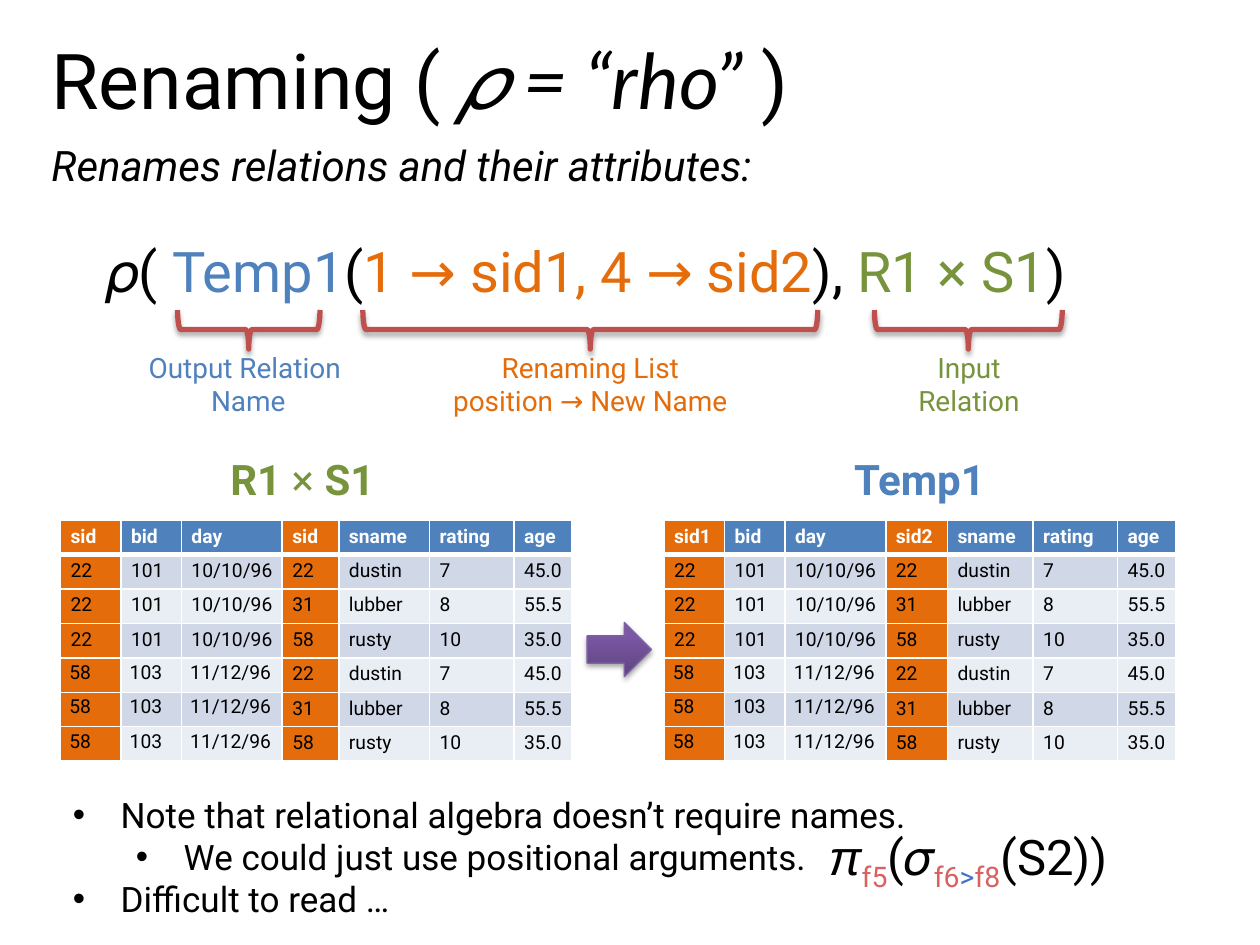
from dataclasses import dataclass

from lxml import etree
from pptx import Presentation
from pptx.dml.color import RGBColor
from pptx.enum.shapes import MSO_SHAPE
from pptx.enum.text import MSO_ANCHOR, MSO_AUTO_SIZE, PP_ALIGN
from pptx.oxml import parse_xml
from pptx.oxml.ns import nsdecls, qn
from pptx.util import Inches, Pt

LEFT, CENTER = PP_ALIGN.LEFT, PP_ALIGN.CENTER
TOP, MIDDLE = MSO_ANCHOR.TOP, MSO_ANCHOR.MIDDLE
GROW, FIXED = MSO_AUTO_SIZE.SHAPE_TO_FIT_TEXT, MSO_AUTO_SIZE.NONE
LEFT_BRACE, RIGHT_ARROW = MSO_SHAPE.LEFT_BRACE, MSO_SHAPE.RIGHT_ARROW


@dataclass(frozen=True)
class Theme:
    font: str = "Roboto"
    title_font: str = "Lato"
    symbol_font: str = "Arial"
    black: str = "000000"
    white: str = "FFFFFF"
    blue: str = "4F81BD"
    orange: str = "E46C0A"
    green: str = "77933C"
    red: str = "C0504D"
    subscript: str = "D9615F"
    operator: str = "4472C4"
    bands: tuple = ("D0D8E8", "E9EDF4")
    arrow_fill: tuple = ("5F4480", "7B58A6")
    arrow_line: str = "7D60A0"
    title: int = 44
    formula: int = 32
    expression: int = 28
    heading: int = 24
    body: int = 20
    label: int = 16
    cell: int = 11


T = Theme()


def rgb(color):
    return RGBColor.from_string(color)


def write(p, text, size, color=T.black, font=T.font, bold=False, italic=False, sub=False):
    """Add one formatted run to a paragraph."""
    r = p.add_run()
    r.text = text
    f = r.font
    f.size, f.name, f.bold, f.italic = Pt(size), font, bold, italic
    f.color.rgb = rgb(color)
    if sub:
        r._r.get_or_add_rPr().set("baseline", "-25000")


class Builder:
    def __init__(self, slide, theme):
        self.s, self.t = slide, theme

    def text(self, box, paras, size, align=LEFT, wrap=False, anchor=TOP, grow=True, levels=None):
        """Each paragraph is a list of (text, format) runs; levels turn on bullets."""
        tf = self.s.shapes.add_textbox(*map(Inches, box)).text_frame
        tf.word_wrap, tf.vertical_anchor = wrap, anchor
        tf.auto_size = GROW if grow else FIXED
        for i, runs in enumerate(paras):
            p = tf.paragraphs[0] if i == 0 else tf.add_paragraph()
            p.alignment = align
            if levels:
                self.bullet(p, levels[i])
            for text, fmt in runs:
                write(p, text, size, **fmt)

    def bullet(self, p, level):
        p.level = level
        pPr = p._p.get_or_add_pPr()
        pPr.set("marL", str(Inches(0.38 + 0.5 * level)))
        pPr.set("indent", str(Inches(-0.38)))
        etree.SubElement(pPr, qn("a:buFont")).set("typeface", self.t.symbol_font)
        etree.SubElement(pPr, qn("a:buChar")).set("char", "•")

    def shape(self, kind, box, line, width):
        sp = self.s.shapes.add_shape(kind, *map(Inches, box))
        sp.line.color.rgb, sp.line.width = rgb(line), Pt(width)
        return sp

    def shadow(self, sp):
        sp.shadow.inherit = False
        effects = sp._element.spPr.find(qn("a:effectLst"))
        effects.append(parse_xml(
            f'<a:outerShdw {nsdecls("a")} blurRad="{Pt(3.1)}" dist="{Pt(1.8)}" dir="5400000" '
            f'rotWithShape="0"><a:srgbClr val="{self.t.black}"><a:alpha val="35000"/>'
            '</a:srgbClr></a:outerShdw>'))

    def brace(self, x, width):
        """Brace opening upwards: a left brace turned about its centre."""
        depth, y = 0.31, 2.46
        box = (x + (width - depth) / 2, y + (depth - width) / 2, depth, width)
        sp = self.shape(LEFT_BRACE, box, self.t.red, 3)
        sp.fill.background()
        sp.rotation = 270
        self.shadow(sp)

    def arrow(self, box):
        sp = self.shape(RIGHT_ARROW, box, self.t.arrow_line, 0.75)
        sp.fill.gradient()
        sp.fill.gradient_angle = 90
        for stop, pos, color in zip(sp.fill.gradient_stops, (0, 0.8), self.t.arrow_fill):
            stop.position, stop.color.rgb = pos, rgb(color)
        self.shadow(sp)

    def borders(self, cell, bottom):
        tcPr = cell._tc.get_or_add_tcPr()
        for side, width in (("L", 1), ("R", 1), ("T", 1), ("B", bottom)):
            tcPr.append(parse_xml(
                f'<a:ln{side} {nsdecls("a")} w="{Pt(width)}"><a:solidFill>'
                f'<a:srgbClr val="{self.t.white}"/></a:solidFill></a:ln{side}>'))

    def table(self, box, widths, rows, marked):
        """Header row plus banded rows; marked columns are orange throughout."""
        t = self.t
        tbl = self.s.shapes.add_table(len(rows), len(widths), *map(Inches, box)).table
        for col, width in zip(tbl.columns, widths):
            col.width = Inches(width)
        for i, values in enumerate(rows):
            header = i == 0
            base = t.blue if header else t.bands[(i - 1) % 2]
            for j, value in enumerate(values):
                cell = tbl.cell(i, j)
                tight = 0.01 if i > 3 and j < 3 else 0
                cell.margin_left = Inches(0.08 - tight)
                cell.margin_right = Inches(0.03)  # keeps the dates on one line
                cell.margin_top = cell.margin_bottom = Inches(0.04 - tight)
                self.borders(cell, 3 if header else 1)
                cell.fill.solid()
                cell.fill.fore_color.rgb = rgb(t.orange if j in marked else base)
                write(cell.text_frame.paragraphs[0], value, t.cell,
                      color=t.white if header else t.black, bold=header)


def main():
    prs = Presentation()
    prs.slide_width, prs.slide_height = Inches(10), Inches(7.5)
    b = Builder(prs.slides.add_slide(prs.slide_layouts[6]), T)
    blue, orange, green = ({"color": c} for c in (T.blue, T.orange, T.green))

    # Title and subtitle
    b.text((0.31, 0, 8.5, 1.25),
           [[("Renaming ( ", {}), ("𝜌 = “rho” ", {"font": T.title_font, "italic": True}), (")", {})]],
           T.title, wrap=True, anchor=MIDDLE, grow=False)
    b.text((0.31, 1.06, 5.99, 0.5),
           [[("Renames relations and their attributes:", {"italic": True})]], T.heading)

    # Renaming formula with its braces and labels
    b.text((0.75, 1.83, 8.06, 0.64),
           [[("𝜌( ", {}), ("Temp1", blue), ("(", {}), ("1 → sid1, 4 → sid2", orange),
             ("), ", {}), ("R1 × S1", green), (")", {})]], T.formula)
    labels = [
        (1.06, 1.82, ("Output Relation ", "Name"), blue, 1.41, 1.13),
        (3.47, 2.43, ("Renaming List", "position → New Name"), orange, 2.88, 3.61),
        (7.18, 1.02, ("Input", "Relation"), green, 6.94, 1.49),
    ]
    for x, width, lines, fmt, brace_x, brace_width in labels:
        b.text((x, 2.73, width, 0.64), [[(line, fmt)] for line in lines], T.label, align=CENTER)
        b.brace(brace_x, brace_width)

    # Tables before and after renaming
    b.text((1.73, 3.55, 1.57, 0.5),
           [[("R1 ", {**green, "bold": True}), ("×", green), (" S1", {**green, "bold": True})]],
           T.heading)
    b.text((6.68, 3.55, 1.26, 0.5), [[("Temp1", {**blue, "bold": True})]], T.heading)
    reserves = [("22", "101", "10/10/96"), ("58", "103", "11/12/96")]
    sailors = [("22", "dustin", "7", "45.0"), ("31", "lubber", "8", "55.5"),
               ("58", "rusty", "10", "35.0")]
    product = [r + s for r in reserves for s in sailors]
    for x, first, second, widths in (
            (0.48, "sid", "sid", (0.48, 0.48, 0.8, 0.45, 0.72, 0.67, 0.46)),
            (5.27, "sid1", "sid2", (0.48, 0.48, 0.8, 0.49, 0.68, 0.67, 0.46))):
        header = (first, "bid", "day", second, "sname", "rating", "age")
        b.table((x, 4.13, 4.07, 1.91), widths, [header] + product, marked=(0, 3))
    b.arrow((4.66, 4.94, 0.51, 0.43))

    # Notes and positional expression
    b.text((0.48, 6.25, 8.15, 1.11),
           [[("Note that relational algebra doesn’t require names.", {})],
            [("We could just use positional arguments.", {})],
            [("Difficult to read …", {})]],
           T.body, wrap=True, levels=(0, 1, 0))
    sub = {"color": T.subscript, "sub": True}
    b.text((6.42, 6.51, 2.53, 0.57),
           [[("π", {"font": T.symbol_font, "italic": True}), ("f5", sub), ("(", {}),
             ("𝜎", {"font": T.symbol_font}), ("f6", sub),
             (">", {"color": T.operator, "sub": True}), ("f8", sub), ("(S2))", {})]],
           T.expression, align=CENTER)

    prs.save("out.pptx")


if __name__ == "__main__":
    main()
